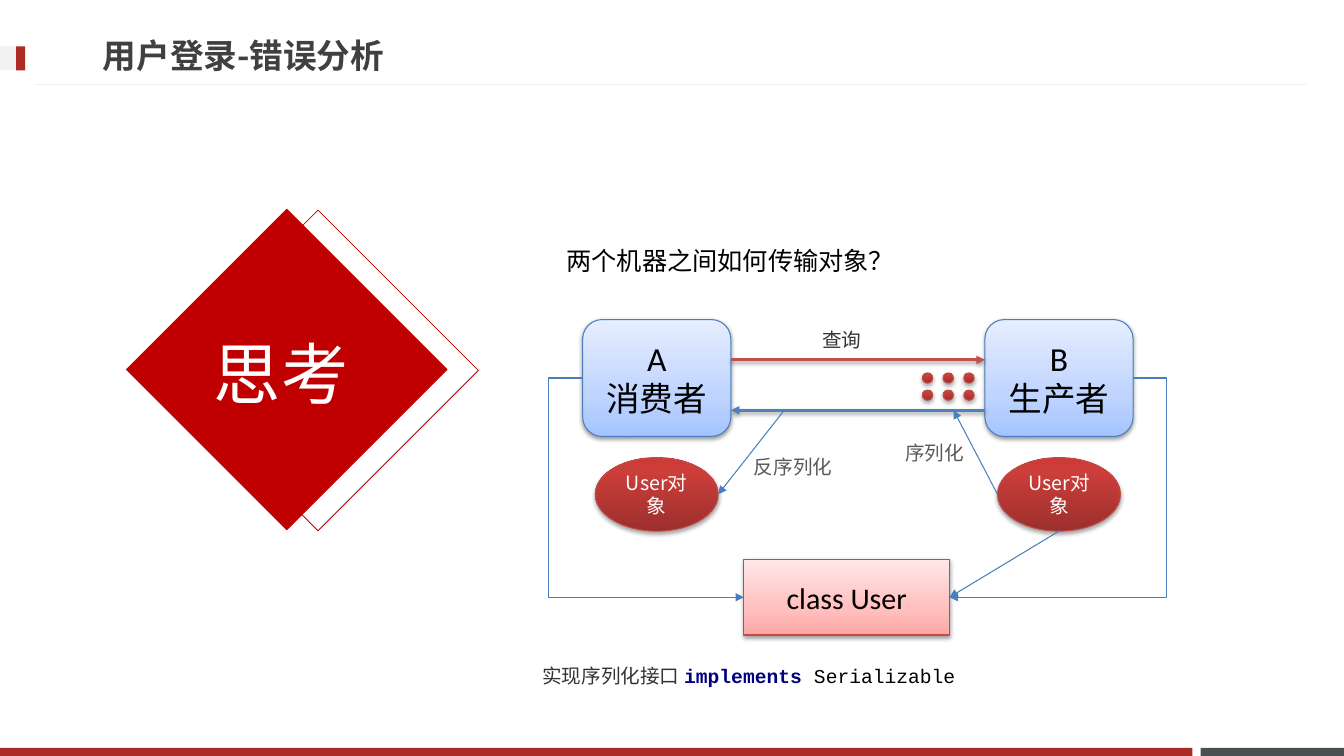
"""Builds the slide on passing a User object between two machines."""
from lxml import etree
from pptx import Presentation
from pptx import util as u
from pptx.dml.color import RGBColor
from pptx.enum import shapes, text
from pptx.oxml.ns import qn

JP, SC, MONO, LATIN = "Noto Sans CJK JP", "Noto Sans CJK SC", "Courier New", "Calibri"
TITLE = ("用户登录-错误分析", dict(size=24, name=JP, color="404040", bold=True))
QUESTION = ("两个机器之间如何传输对象？", dict(size=18, name=JP, color="000000"))
THINK = ("思考", dict(size=48, name=JP, color="FFFFFF"))
MACHINES = [("A", "消费者"), ("B", "生产者")]
USER_CLASS = ("class User", dict(size=21.4, name=LATIN, color="000000"))
USER_OBJECT = ("User对象", dict(size=14, name=SC, color="FFFFFF"))
LABELS = [
    ("查询", "333333", (60.45, 42.67, 8.33, 4.53)),
    ("序列化", "595959", (66.6, 57.6, 10.2, 4.53)),
    ("反序列化", "595959", (55.35, 59.47, 10.2, 4.53)),
]
NOTE = [
    ("实现序列化接口 ", dict(size=14, name=SC, color="333333")),
    ("implements ", dict(size=14, name=MONO, color="000080", bold=True)),
    ("Serializable", dict(size=14, name=MONO, color="000000")),
]
BARS = [
    ("49504F", (89.33, 98.93, 10.67, 1.07)),
    ("AD2B26", (0, 98.93, 88.73, 1.07)),
    ("F2F2F2", (0, 6.13, 1.88, 3.2)),
    ("AD2B26", (1.2, 6.13, 0.68, 3.2)),
]
DIAMONDS = [(None, (15.22, 34, 16.88, 30)), ("C00000", (12.9, 33.87, 16.88, 30))]
BLUE = ((0, "A4C4FF"), (35, "BFD4FF"), (100, "E6EEFF"))
PINK = ((0, "FFA6A5"), (35, "FFC0BF"), (100, "FFE7E7"))
RED = ((0, "9C2F2D"), (80, "CB3E3A"), (100, "CE3B37"))
BLUE_LINE, RED_LINE = "4B7EBC", "BF4C48"
MACHINE_X, MACHINE_Y, MACHINE_W, MACHINE_H = (43.35, 73.28), 42.27, 11.03, 15.47
OBJECT_Y, OBJECT_W, OBJECT_H = 60.53, 9.15, 9.73
CLASS_BOX = (55.35, 74, 15.3, 10)
ASK_Y, REPLY_Y = 47.6, 54.27
DOT_X, DOT_Y, DOT_DX, DOT_DY, DOT_W, DOT_H = 68.63, 49.33, 1.54, 2.27, 0.77, 1.35

prs = Presentation()
prs.slide_width, prs.slide_height = u.Inches(13.33), u.Inches(7.5)
s = prs.slides.add_slide(prs.slide_layouts[1])
SHAPE, LINK = shapes.MSO_SHAPE, shapes.MSO_CONNECTOR


def rgb(value):
    """Turn a hex string into a colour."""
    return RGBColor.from_string(value)


def emu(*shares):
    """Turn alternating width and height percentages into lengths."""
    return [int(v * (prs.slide_width, prs.slide_height)[i % 2] / 100)
            for i, v in enumerate(shares)]


def sub(parent, tag, **attrs):
    """Add a drawing element with attributes."""
    return etree.SubElement(parent, qn("a:" + tag), {k: str(v) for k, v in attrs.items()})


def write(sp, paragraphs, align="LEFT", anchor="TOP", spacing=None):
    """Fill a shape with paragraphs of formatted runs."""
    tf = sp.text_frame
    tf.word_wrap = True
    tf.vertical_anchor = getattr(text.MSO_ANCHOR, anchor)
    for i, runs in enumerate(paragraphs):
        p = tf.add_paragraph() if i else tf.paragraphs[0]
        p.alignment = getattr(text.PP_ALIGN, align)
        p.space_before = u.Pt(0)
        p.line_spacing = spacing
        for words, look in runs:
            r = p.add_run()
            r.text = words
            for key, value in look.items():
                if key == "color":
                    r.font.color.rgb = rgb(value)
                else:
                    setattr(r.font, key, u.Pt(value) if key == "size" else value)
            ea = SC if look["name"] in (LATIN, MONO) else look["name"]
            sub(r.font._element, "ea", typeface=ea)


def place(sp, box):
    """Move a placeholder to a box."""
    for key, value in zip(("left", "top", "width", "height"), emu(*box)):
        setattr(sp, key, value)


def textbox(box, paragraphs, **layout):
    """Add a text box."""
    write(s.shapes.add_textbox(*emu(*box)), paragraphs, **layout)


def shadow(sp, alpha=38, dist=1.6):
    """Cast a soft shadow downwards."""
    effects = sp._element.spPr.find(qn("a:effectLst"))
    outer = sub(effects, "outerShdw", blurRad=u.Pt(3.1), dist=u.Pt(dist),
                dir=5400000, rotWithShape=0)
    sub(sub(outer, "srgbClr", val="000000"), "alpha", val=alpha * 1000)


def shape(kind, box, fill=None, line=None, width=0.75):
    """Add a preset shape with a plain, graded or empty fill."""
    sp = s.shapes.add_shape(kind, *emu(*box))
    sp.shadow.inherit = False
    if isinstance(fill, tuple):
        sp.fill.gradient()
        sp.fill.gradient_angle = 90
        stops = sp._element.spPr.find(".//" + qn("a:gsLst"))
        for old in list(stops):
            stops.remove(old)
        for pos, color in fill:
            sub(sub(stops, "gs", pos=pos * 1000), "srgbClr", val=color)
        shadow(sp, *((35, 1.8) if fill == RED else ()))
    elif fill:
        sp.fill.solid()
        sp.fill.fore_color.rgb = rgb(fill)
    else:
        sp.fill.background()
    if line:
        sp.line.color.rgb = rgb(line)
        sp.line.width = u.Pt(width)
    else:
        sp.line.fill.background()
    return sp


def connect(start, end, color=BLUE_LINE, width=0.75, kind=LINK.STRAIGHT, arrow=True):
    """Add a connector between two points."""
    c = s.shapes.add_connector(kind, *emu(*start, *end))
    c.line.color.rgb = rgb(color)
    c.line.width = u.Pt(width)
    if arrow:
        sub(c.line._get_or_add_ln(), "tailEnd", type="triangle")
    sub(c._element.spPr, "effectLst")
    return c


for color, box in BARS:
    shape(SHAPE.RECTANGLE, box, color)
connect((97.35, 11.2), (2.63, 11.2), "F2F2F2", arrow=False)
for color, box in DIAMONDS:
    shape(SHAPE.RECTANGLE, box, color, "C00000", 0.5).rotation = 45
textbox((0, 42.13, 41.85, 15.73), [[THINK]], align="CENTER", anchor="MIDDLE", spacing=0.9)

title, body = s.placeholders
place(title, (6.9, 3.47, 71.93, 7.6))
write(title, [[TITLE]], anchor="MIDDLE")
place(body, (41.4, 27.73, 47.25, 46.67))
pPr = body.text_frame.paragraphs[0]._p.get_or_add_pPr()
pPr.set("marL", "0")
pPr.set("indent", "0")
sub(pPr, "buNone")
write(body, [[QUESTION]], spacing=2)

machines, object_x = [], []
machine_look = dict(size=24, name=LATIN, color="000000")
for x, lines in zip(MACHINE_X, MACHINES):
    sp = shape(SHAPE.ROUNDED_RECTANGLE, (x, MACHINE_Y, MACHINE_W, MACHINE_H), BLUE, BLUE_LINE)
    write(sp, [[(line, machine_look)] for line in lines], "CENTER", "MIDDLE")
    machines.append(sp)
    object_x.append(x + (MACHINE_W - OBJECT_W) / 2)

gap = (MACHINE_X[0] + MACHINE_W, MACHINE_X[1])
shadow(connect((gap[0], ASK_Y), (gap[1], ASK_Y), "C0504D", 2))
shadow(connect((gap[1], REPLY_Y), (gap[0], REPLY_Y), "4F81BD", 2))

for x in object_x:
    sp = shape(SHAPE.OVAL, (x, OBJECT_Y, OBJECT_W, OBJECT_H), RED, RED_LINE)
    write(sp, [[USER_OBJECT]], "CENTER", "MIDDLE")
for i in range(6):
    row, col = divmod(i, 3)
    shape(SHAPE.OVAL, (DOT_X + col * DOT_DX, DOT_Y + row * DOT_DY, DOT_W, DOT_H), RED, RED_LINE)
user_class = shape(SHAPE.RECTANGLE, CLASS_BOX, PINK, RED_LINE)
write(user_class, [[USER_CLASS]], "CENTER", "MIDDLE")

object_mid = OBJECT_Y + OBJECT_H / 2
connect((object_x[1], object_mid), (70.95, REPLY_Y))
connect((58.35, REPLY_Y), (object_x[0] + OBJECT_W, object_mid))
class_right = (CLASS_BOX[0] + CLASS_BOX[2], CLASS_BOX[1] + CLASS_BOX[3] / 2)
object_foot = (object_x[1] + OBJECT_W / 2, OBJECT_Y + OBJECT_H)
connect(object_foot, class_right).end_connect(user_class, 3)
for machine, side, bend in zip(machines, (1, 3), (-20900, -18300)):
    c = connect((0, 0), (1, 1), kind=LINK.ELBOW)
    c.begin_connect(machine, side)
    c.end_connect(user_class, side)
    guides = c._element.spPr.find(".//" + qn("a:avLst"))
    sub(guides, "gd", name="adj1", fmla=f"val {bend}")

for words, color, box in LABELS:
    textbox(box, [[(words, dict(size=14, name=SC, color=color))]])
textbox((39.6, 87.2, 51.08, 7.6), [NOTE])
prs.save("out.pptx")
